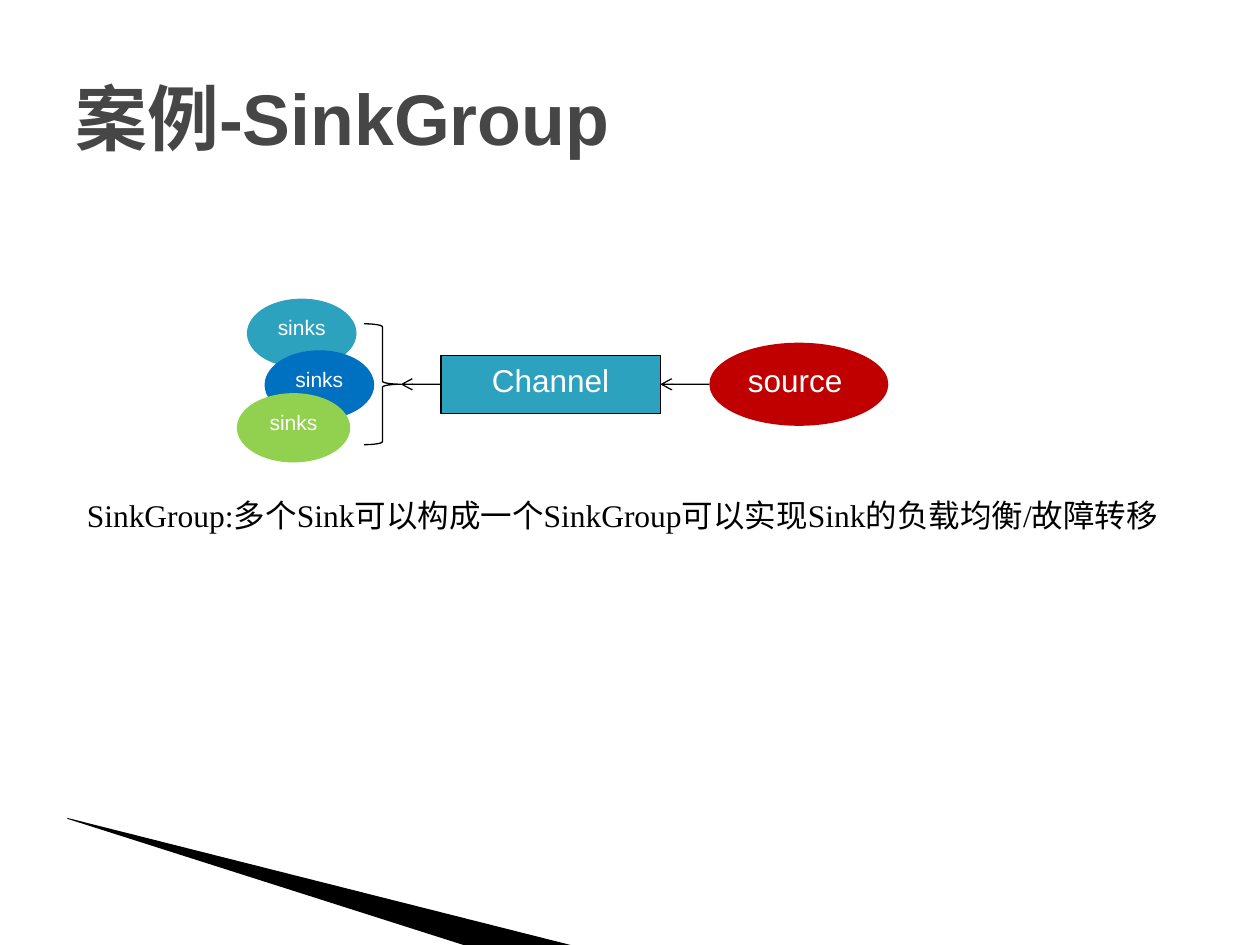
from dataclasses import dataclass, field

from lxml.etree import SubElement
from pptx import Presentation
from pptx.dml.color import RGBColor
from pptx.enum.shapes import MSO_CONNECTOR, MSO_SHAPE as SHAPE
from pptx.enum.text import MSO_ANCHOR as ANCHOR, PP_ALIGN as ALIGN
from pptx.oxml.ns import qn
from pptx.util import Inches, Pt

COLS, ROWS = 100, 75
CELL = 0.1  # inches per grid cell
BLACK, WHITE, TEAL = "000000", "FFFFFF", "2DA2BF"
AXIS = 30.5  # row on which the flow runs


@dataclass
class Node:
    kind: SHAPE
    col: float
    row: float
    cols: float
    rows: float
    fill: str = ""
    line: str = ""
    text: str = ""
    size: int = 18
    align: ALIGN = ALIGN.CENTER
    anchor: ANCHOR = ANCHOR.TOP


@dataclass
class Label:
    col: float
    row: float
    cols: float
    rows: float
    text: str
    anchor: ANCHOR = ANCHOR.TOP
    font: dict = field(default_factory=dict)


def rgb(value: str) -> RGBColor:
    return RGBColor.from_string(value)


def grid(*cells: float) -> list:
    return [Inches(c * CELL) for c in cells]


def paint(sp, fill: str, line: str) -> None:
    sp.shadow.inherit = False
    for part, color in ((sp.fill, fill), (sp.line.fill, line)):
        if color:
            part.solid()
            part.fore_color.rgb = rgb(color)
        else:
            part.background()
    if line:
        sp.line.width = Pt(0.75)


def write(sp, text: str, color: str, align: ALIGN, anchor: ANCHOR, font: dict) -> None:
    tf = sp.text_frame
    tf.word_wrap = True
    tf.vertical_anchor = anchor
    p = tf.paragraphs[0]
    p.alignment = align
    r = p.add_run()
    r.text = text
    r.font.color.rgb = rgb(color)
    for name, value in font.items():
        setattr(r.font, name, value)


def draw_node(s, n: Node):
    sp = s.shapes.add_shape(n.kind, *grid(n.col, n.row, n.cols, n.rows))
    paint(sp, n.fill, n.line)
    if n.text:
        font = {"name": "Arial", "size": Pt(n.size)}
        write(sp, n.text, WHITE, n.align, n.anchor, font)
    return sp


def draw_label(s, t: Label) -> None:
    box = s.shapes.add_textbox(*grid(t.col, t.row, t.cols, t.rows))
    font = dict(t.font)
    write(box, t.text, font.pop("color"), ALIGN.LEFT, t.anchor, font)


def draw_arrow(s, start: float, end: float):
    """Draw an arrow along the flow axis between two columns."""
    c = s.shapes.add_connector(MSO_CONNECTOR.STRAIGHT, *grid(start, AXIS, end, AXIS))
    c.line.color.rgb = rgb(BLACK)
    c.line.width = Pt(0.75)
    SubElement(c.line._get_or_add_ln(), qn("a:tailEnd"), type="arrow")
    SubElement(c._element.spPr, qn("a:effectLst"))
    return c


def draw_wedge(s) -> None:
    points = [grid(*pt) for pt in ((5.3, 64.9), (45.3, 75), (36.8, 75), (5.4, 65))]
    builder = s.shapes.build_freeform(*points[0])
    builder.add_line_segments(points[1:], close=True)
    paint(builder.convert_to_shape(), BLACK, "")


TITLE = Label(5, 3, 90, 12.5, "案例-SinkGroup", ANCHOR.MIDDLE,
              {"name": "Arial", "size": Pt(41), "bold": True, "color": "464646"})
CAPTION = Label(5.9, 38.9, 92.9, 4,
                "SinkGroup:多个Sink可以构成一个SinkGroup可以实现Sink的负载均衡/故障转移",
                font={"name": "Times New Roman", "size": Pt(18), "color": BLACK})
SINKS = [
    Node(SHAPE.OVAL, col, row, cols, 5.5, fill, text="sinks", size=12)
    for col, row, cols, fill in (
        (19.6, 23.7, 8.7, TEAL),
        (21, 27.8, 8.7, "0070C0"),
        (18.8, 31.2, 9, "92D050"),
    )
]
BRACE = Node(SHAPE.RIGHT_BRACE, 28.9, AXIS - 4.8, 2.9, 9.6, line=BLACK)
CHANNEL = Node(SHAPE.RECTANGLE, 35, AXIS - 2.3, 17.4, 4.6, TEAL, BLACK, "Channel")
SOURCE = Node(SHAPE.OVAL, 56.3, AXIS - 3.3, 14.2, 6.6, "C00000",
              text="source", align=ALIGN.LEFT)


def main() -> None:
    prs = Presentation()
    prs.slide_width, prs.slide_height = grid(COLS, ROWS)
    s = prs.slides.add_slide(prs.slide_layouts[6])
    draw_wedge(s)
    draw_label(s, TITLE)
    for node in (*SINKS, BRACE):
        draw_node(s, node)
    channel = draw_node(s, CHANNEL)
    draw_arrow(s, CHANNEL.col, BRACE.col + BRACE.cols).begin_connect(channel, 1)
    draw_arrow(s, SOURCE.col, CHANNEL.col + CHANNEL.cols).end_connect(channel, 3)
    draw_node(s, SOURCE)
    draw_label(s, CAPTION)
    prs.save("out.pptx")


if __name__ == "__main__":
    main()
